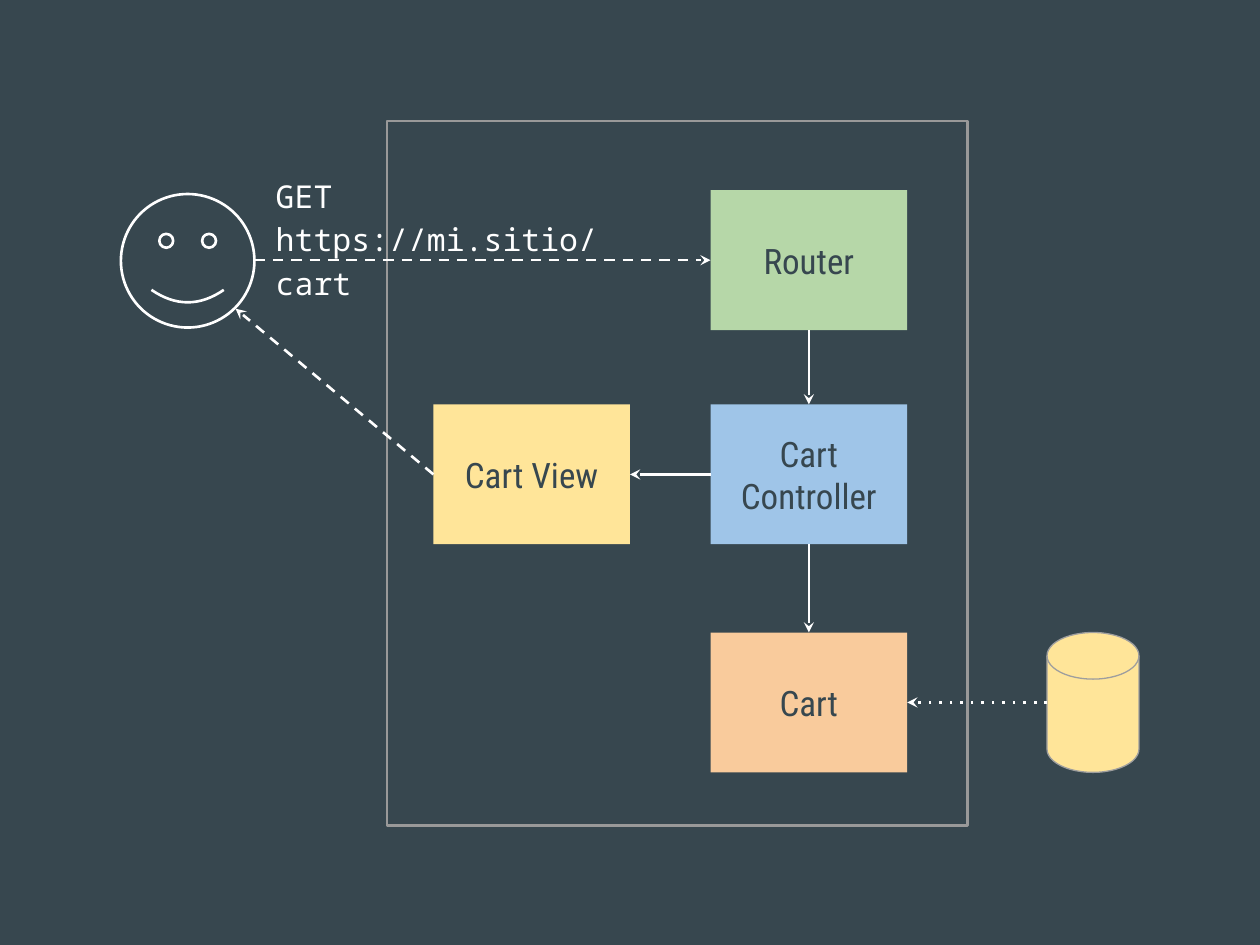
from dataclasses import dataclass
from typing import Optional

from lxml.etree import SubElement
from pptx import Presentation
from pptx.dml.color import RGBColor
from pptx.enum.shapes import MSO_CONNECTOR, MSO_SHAPE
from pptx.enum.text import MSO_ANCHOR, PP_ALIGN
from pptx.oxml.ns import qn
from pptx.util import Inches, Pt


@dataclass(frozen=True)
class Theme:
    background: str = "37474F"
    ink: str = "37474F"
    light: str = "FFFFFF"
    frame: str = "999999"
    disk_line: str = "9E9E9E"
    green: str = "B6D7A8"
    blue: str = "9FC5E8"
    orange: str = "F9CB9C"
    yellow: str = "FFE599"
    label_font: str = "Roboto Condensed"
    code_font: str = "Noto Sans Mono"
    label_size: int = 20
    code_size: int = 18
    stroke: float = 1.5
    thin: float = 0.75


@dataclass(frozen=True)
class Node:
    kind: MSO_SHAPE
    left: float
    top: float
    width: float
    height: float
    fill: Optional[str] = None
    line: Optional[str] = None
    weight: float = 1.5
    text: str = ""


@dataclass(frozen=True)
class Arrow:
    start: tuple[float, float]
    end: tuple[float, float]
    begin_at: Optional[tuple[str, int]] = None
    end_at: Optional[tuple[str, int]] = None
    dash: Optional[str] = None


THEME = Theme()
TOP, LEFT, BOTTOM, RIGHT = range(4)
BOX_W, BOX_H = 1.56, 1.11
COL_VIEW, COL_MAIN = 3.44, 5.64
ROW_ROUTER, ROW_CONTROLLER, ROW_MODEL = 1.51, 3.21, 5.02
MID_X = COL_MAIN + BOX_W / 2
MID_ROUTER, MID_CONTROLLER, MID_MODEL = (
    row + BOX_H / 2 for row in (ROW_ROUTER, ROW_CONTROLLER, ROW_MODEL)
)
DISK_LEFT = 8.31
USER_RIGHT = 2.02


def box(text: str, left: float, top: float, fill: str) -> Node:
    return Node(MSO_SHAPE.RECTANGLE, left, top, BOX_W, BOX_H, fill, text=text)


NODES = {
    "frame": Node(MSO_SHAPE.RECTANGLE, 3.07, 0.96, 4.61, 5.59, line=THEME.frame),
    "user": Node(MSO_SHAPE.SMILEY_FACE, 0.96, 1.54, 1.06, 1.06, line=THEME.light),
    "router": box("Router", COL_MAIN, ROW_ROUTER, THEME.green),
    "controller": box("Cart Controller", COL_MAIN, ROW_CONTROLLER, THEME.blue),
    "model": box("Cart", COL_MAIN, ROW_MODEL, THEME.orange),
    "view": box("Cart View", COL_VIEW, ROW_CONTROLLER, THEME.yellow),
    "database": Node(MSO_SHAPE.FLOWCHART_MAGNETIC_DISK, DISK_LEFT, ROW_MODEL, 0.73,
                     BOX_H, THEME.yellow, THEME.disk_line, THEME.thin),
}

ARROWS = [
    Arrow((DISK_LEFT, MID_MODEL), (COL_MAIN + BOX_W, MID_MODEL),
          end_at=("model", RIGHT), dash="dot"),
    Arrow((MID_X, ROW_CONTROLLER + BOX_H), (MID_X, ROW_MODEL),
          ("controller", BOTTOM), ("model", TOP)),
    Arrow((COL_MAIN, MID_CONTROLLER), (COL_VIEW + BOX_W, MID_CONTROLLER),
          ("controller", LEFT), ("view", RIGHT)),
    Arrow((MID_X, ROW_ROUTER + BOX_H), (MID_X, ROW_CONTROLLER),
          ("router", BOTTOM), ("controller", TOP)),
    Arrow((USER_RIGHT, MID_ROUTER), (COL_MAIN, MID_ROUTER),
          end_at=("router", LEFT), dash="dash"),
    Arrow((COL_VIEW, MID_CONTROLLER), (1.87, 2.45),
          begin_at=("view", LEFT), dash="dash"),
]


def rgb(value: str) -> RGBColor:
    return RGBColor.from_string(value)


def apply(target, **formats) -> None:
    for name, value in formats.items():
        setattr(target, name, value)


def set_frame(tf, anchor: MSO_ANCHOR) -> None:
    margins = {f"margin_{side}": Inches(0.1) for side in ("left", "top", "right", "bottom")}
    apply(tf, word_wrap=True, vertical_anchor=anchor, **margins)


def write(p, text: str, font: str, size: int, color: str) -> None:
    r = p.add_run()
    r.text = text
    apply(r.font, name=font, size=Pt(size))
    r.font.color.rgb = rgb(color)


def draw_node(s, node: Node):
    sp = s.shapes.add_shape(node.kind, Inches(node.left), Inches(node.top),
                            Inches(node.width), Inches(node.height))
    sp.shadow.inherit = False
    if node.fill:
        sp.fill.solid()
        sp.fill.fore_color.rgb = rgb(node.fill)
    else:
        sp.fill.background()
    if node.line:
        sp.line.color.rgb = rgb(node.line)
        sp.line.width = Pt(node.weight)
    else:
        sp.line.fill.background()
    if node.text:
        tf = sp.text_frame
        set_frame(tf, MSO_ANCHOR.MIDDLE)
        p = tf.paragraphs[0]
        p.alignment = PP_ALIGN.CENTER
        write(p, node.text, THEME.label_font, THEME.label_size, THEME.ink)
    return sp


def draw_arrow(s, arrow: Arrow, shapes: dict) -> None:
    points = [Inches(v) for v in (*arrow.start, *arrow.end)]
    cxn = s.shapes.add_connector(MSO_CONNECTOR.STRAIGHT, *points)
    for connect, joint in ((cxn.begin_connect, arrow.begin_at),
                           (cxn.end_connect, arrow.end_at)):
        if joint:
            name, side = joint
            connect(shapes[name], side)
    cxn.line.color.rgb = rgb(THEME.light)
    cxn.line.width = Pt(THEME.stroke)
    sp_pr = cxn._element.spPr
    ln = sp_pr.find(qn("a:ln"))
    if arrow.dash:
        SubElement(ln, qn("a:prstDash"), val=arrow.dash)
    SubElement(ln, qn("a:tailEnd"), type="stealth", w="med", len="med")
    SubElement(sp_pr, qn("a:effectLst"))


def draw_request(s) -> None:
    sp = s.shapes.add_textbox(Inches(2.09), Inches(1.26), Inches(3.23), Inches(0.85))
    tf = sp.text_frame
    set_frame(tf, MSO_ANCHOR.TOP)
    for i, text in enumerate(("GET", "https://mi.sitio/cart")):
        p = tf.add_paragraph() if i else tf.paragraphs[0]
        p.line_spacing = 1.15
        write(p, text, THEME.code_font, THEME.code_size, THEME.light)


def main() -> None:
    prs = Presentation()
    apply(prs, slide_width=Inches(10), slide_height=Inches(7.5))
    s = prs.slides.add_slide(prs.slide_layouts[6])
    s.background.fill.solid()
    s.background.fill.fore_color.rgb = rgb(THEME.background)
    shapes = {name: draw_node(s, node) for name, node in NODES.items()}
    for arrow in ARROWS:
        draw_arrow(s, arrow, shapes)
    draw_request(s)
    prs.save("out.pptx")


if __name__ == "__main__":
    main()
